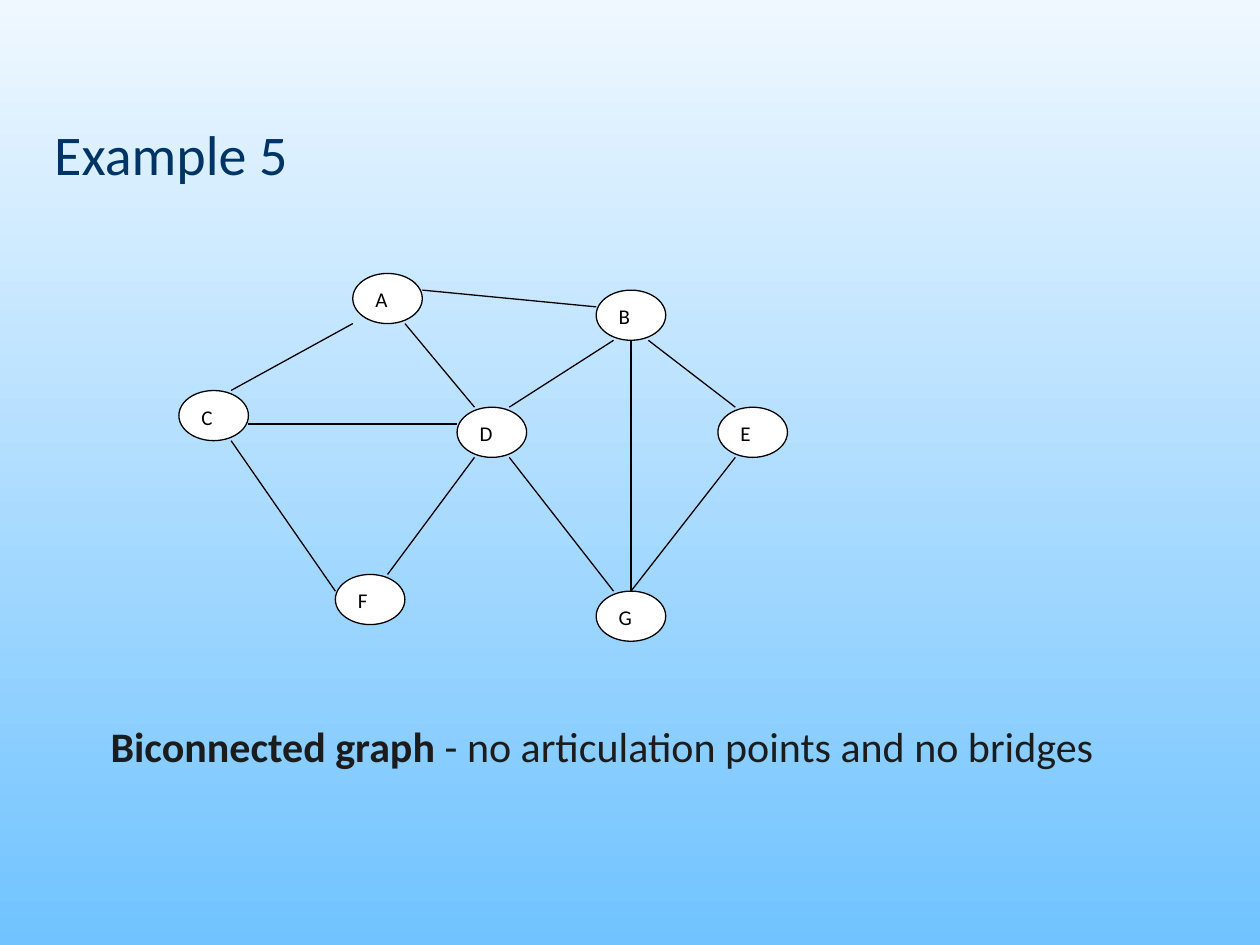
from dataclasses import dataclass

from lxml import etree
from pptx import Presentation
from pptx.dml.color import RGBColor
from pptx.enum.shapes import MSO_CONNECTOR, MSO_SHAPE
from pptx.enum.text import MSO_ANCHOR, PP_ALIGN
from pptx.oxml.ns import qn
from pptx.util import Inches, Pt

OVAL = MSO_SHAPE.OVAL
STRAIGHT = MSO_CONNECTOR.STRAIGHT
LEFT = PP_ALIGN.LEFT
TOP, MIDDLE = MSO_ANCHOR.TOP, MSO_ANCHOR.MIDDLE


@dataclass(frozen=True)
class Theme:
    """Colours, font and type sizes of the slide."""
    sky_top: RGBColor = RGBColor.from_string("EFF8FF")
    sky_bottom: RGBColor = RGBColor.from_string("70C3FF")
    heading: RGBColor = RGBColor.from_string("003366")
    body: RGBColor = RGBColor.from_string("1C1C1C")
    ink: RGBColor = RGBColor.from_string("000000")
    paper: RGBColor = RGBColor.from_string("FFFFFF")
    font: str = "Calibri"
    heading_size: Pt = Pt(32)
    body_size: Pt = Pt(24)
    node_size: Pt = Pt(12)
    stroke: Pt = Pt(0.75)


THEME = Theme()

GRID_COLUMNS, GRID_ROWS = 35, 22
NODE_COLUMNS, NODE_ROWS = 4, 3
NODES = {
    "A": (10, 0), "B": (24, 1), "C": (0, 7), "D": (16, 8),
    "E": (31, 8), "F": (9, 18), "G": (24, 19),
}
EDGES = [
    ("C", (3, 0), "A", (0, 3)),
    ("A", (4, 1), "B", (0, 1)),
    ("A", (3, 3), "D", (1, 0)),
    ("B", (1, 3), "D", (3, 0)),
    ("B", (3, 3), "E", (1, 0)),
    ("C", (3, 3), "F", (0, 1)),
    ("C", (4, 2), "D", (0, 1)),
    ("D", (1, 3), "F", (3, 0)),
    ("D", (3, 3), "G", (1, 0)),
    ("E", (1, 3), "G", (2, 0)),
    ("B", (2, 3), "G", (2, 0)),
]


def apply_format(target, values):
    """Set each attribute named in values on target."""
    for attribute, value in values.items():
        setattr(target, attribute, value)


def write(frame, runs, size, color, anchor):
    """Fill a text frame with one left-aligned paragraph of (text, bold) runs."""
    apply_format(frame, {"word_wrap": True, "vertical_anchor": anchor})
    paragraph = frame.paragraphs[0]
    paragraph.alignment = LEFT
    for text, bold in runs:
        run = paragraph.add_run()
        run.text = text
        apply_format(run.font, {"name": THEME.font, "size": size, "bold": bold})
        run.font.color.rgb = color


def paint_background(slide):
    """Shade the slide from pale blue at the top to sky blue at the bottom."""
    fill = slide.background.fill
    fill.gradient()
    fill.gradient_angle = 270
    for stop, color in zip(fill.gradient_stops, (THEME.sky_top, THEME.sky_bottom)):
        stop.color.rgb = color


def place_heading(slide, left, top, width, height):
    """Move and format the title placeholder."""
    heading = slide.shapes.title
    apply_format(heading, {"left": left, "top": top, "width": width, "height": height})
    write(heading.text_frame, [("Example 5", False)],
          THEME.heading_size, THEME.heading, MIDDLE)


def draw_graph(slide, left, top, width, height):
    """Draw the nodes and edges on a grid spread over the box."""
    graph = slide.shapes.add_group_shape()
    column, row = width / GRID_COLUMNS, height / GRID_ROWS

    def locate(node, offset=(0, 0)):
        """Return the slide position of a grid offset within a node."""
        x, y = NODES[node]
        return round(left + (x + offset[0]) * column), round(top + (y + offset[1]) * row)

    for name in NODES:
        node = graph.shapes.add_shape(
            OVAL, *locate(name), round(NODE_COLUMNS * column), round(NODE_ROWS * row))
        node.shadow.inherit = False
        node.fill.solid()
        node.fill.fore_color.rgb = THEME.paper
        node.line.color.rgb = THEME.ink
        node.line.width = THEME.stroke
        write(node.text_frame, [(name, False)], THEME.node_size, THEME.ink, TOP)

    for start, start_offset, end, end_offset in EDGES:
        edge = graph.shapes.add_connector(
            STRAIGHT, *locate(start, start_offset), *locate(end, end_offset))
        edge.line.color.rgb = THEME.ink
        edge.line.width = THEME.stroke
        etree.SubElement(edge._element.spPr, qn("a:effectLst"))


def place_conclusion(slide, left, top, width, height):
    """Write the statement below the graph."""
    conclusion = slide.shapes.add_textbox(left, top, width, height)
    write(conclusion.text_frame,
          [("Biconnected graph", True), (" - no articulation points and no bridges", False)],
          THEME.body_size, THEME.body, MIDDLE)


def main():
    """Build and save the slide."""
    deck = Presentation()
    deck.slide_width, deck.slide_height = Inches(10), Inches(7.5)
    slide = deck.slides.add_slide(deck.slide_layouts[5])
    paint_background(slide)
    place_heading(slide, Inches(0.33), Inches(0.88), Inches(9.17), Inches(0.67))
    draw_graph(slide, Inches(1.42), Inches(2.17), Inches(4.83), Inches(2.92))
    place_conclusion(slide, Inches(0.78), Inches(5.67), Inches(8.08), Inches(0.5))
    deck.save("out.pptx")


if __name__ == "__main__":
    main()
